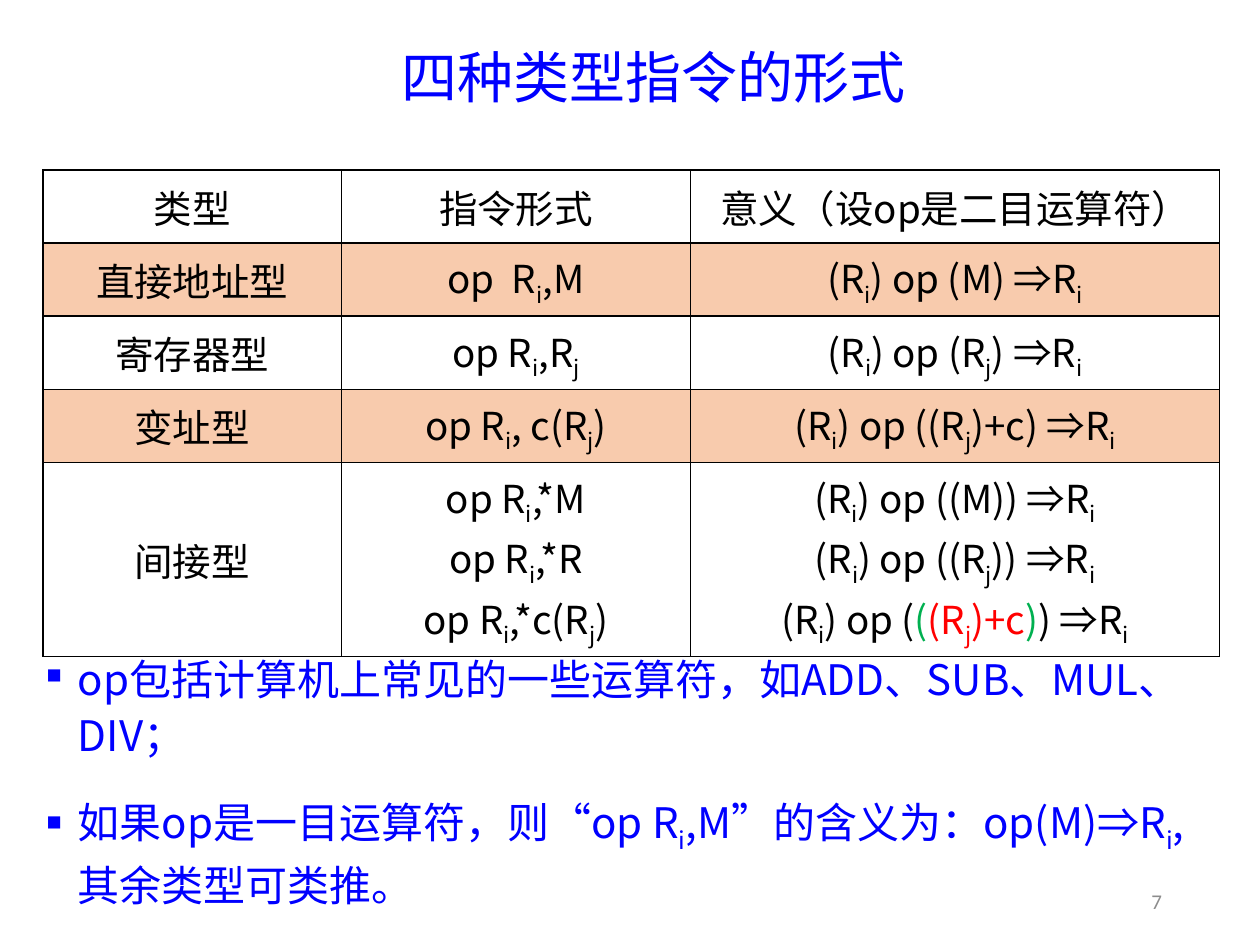
from lxml.etree import SubElement
from pptx import Presentation
from pptx.dml.color import RGBColor
from pptx.enum.text import MSO_ANCHOR, PP_ALIGN
from pptx.oxml.ns import qn
from pptx.util import Inches, Pt

HUES = {"blue": "0000FF", "black": "000000", "red": "FF0000",
        "green": "00B050", "gray": "8C8C8C", "peach": "F8CBAD"}
SANS = "Noto Sans CJK SC"


def write(frame, text, size=22, font=SANS, hue="black", align=PP_ALIGN.CENTER,
          lead=None, after=None, gap=None, mark=None, anchor=MSO_ANCHOR.MIDDLE):
    frame.word_wrap = True
    frame.vertical_anchor = anchor
    for row, line in enumerate(text.split("\n")):
        para = frame.add_paragraph() if row else frame.paragraphs[0]
        para.alignment = align
        para.line_spacing = lead
        para.space_after = after
        if row:
            para.space_before = gap
        if mark:
            props = para._p.get_or_add_pPr()
            props.set("marL", str(Inches(0.25)))
            props.set("indent", str(-Inches(0.25)))
            SubElement(props, qn("a:buSzPct"), val="50000")
            SubElement(props, qn("a:buChar"), char=mark)
        for part in line.split("|"):
            name, colon, rest = part.partition(":")
            run = para.add_run()
            run.text = rest if colon else part
            run.font.size = Pt(size)
            run.font.name = font
            tint = name if colon else hue
            run.font.color.rgb = RGBColor.from_string(HUES[tint])
            props = run._r.get_or_add_rPr()
            SubElement(props, qn("a:ea"), typeface=font)
            if run.text in ("i", "j"):
                props.set("baseline", "-25000")


deck = Presentation()
deck.slide_width = Inches(10)
deck.slide_height = Inches(7.5)
slide = deck.slides.add_slide(deck.slide_layouts[6])

notes = slide.shapes.add_textbox(Inches(0.27), Inches(5.1), Inches(9.47), Inches(1.73))
write(notes.text_frame,
      "op包括计算机上常见的一些运算符，如ADD、SUB、MUL、DIV；\n"
      "如果op是一目运算符，则“op R|i|,M”的含义为：op(M)⇒R|i|,其余类型可类推。",
      size=24, hue="blue", align=PP_ALIGN.LEFT, lead=1.1, after=Pt(12),
      gap=Pt(6), mark="■", anchor=MSO_ANCHOR.TOP)

page = slide.shapes.add_textbox(Inches(8.73), Inches(6.95), Inches(0.59), Inches(0.4))
write(page.text_frame, "7", size=12, font="Calibri", hue="gray", align=PP_ALIGN.RIGHT)

rows = [
    ("类型", "指令形式", "意义（设op是二目运算符）"),
    ("直接地址型", "op  R|i|,M", "(R|i|) op (M) ⇒R|i"),
    ("寄存器型", "op R|i|,R|j", "(R|i|) op (R|j|) ⇒R|i"),
    ("变址型", "op R|i|, c(R|j|)", "(R|i|) op ((R|j|)+c) ⇒R|i"),
    ("间接型", "op R|i|,*M\nop R|i|,*R\nop R|i|,*c(R|j|)",
     "(R|i|) op ((M)) ⇒R|i\n(R|i|) op ((R|j|)) ⇒R|i\n"
     "(R|i|) op (|green:(|red:(R|red:j|red:)+c|green:)|) ⇒R|i"),
]
wide = [2.37, 2.77, 4.2]
high = [0.58] * 4 + [1.54]
frame = slide.shapes.add_table(len(rows), len(wide), Inches(0.34), Inches(1.35),
                               Inches(sum(wide)), Inches(sum(high)))
table = frame.table
for col, width in zip(table.columns, wide):
    col.width = Inches(width)
for top, (texts, tall) in enumerate(zip(rows, high)):
    table.rows[top].height = Inches(tall)
    for left, text in enumerate(texts):
        cell = table.cell(top, left)
        write(cell.text_frame, text)
        cell.vertical_anchor = MSO_ANCHOR.MIDDLE
        props = cell._tc.get_or_add_tcPr()
        for side in ("lnL", "lnR", "lnT", "lnB"):
            edge = SubElement(props, qn("a:" + side), w=str(Pt(1)))
            fill = SubElement(edge, qn("a:solidFill"))
            SubElement(fill, qn("a:srgbClr"), val=HUES["black"])
        if top % 2:
            cell.fill.solid()
            cell.fill.fore_color.rgb = RGBColor.from_string(HUES["peach"])
        else:
            cell.fill.background()

title = slide.shapes.add_textbox(Inches(2.71), Inches(0.22), Inches(4.96), Inches(0.84))
write(title.text_frame, "四种类型指令的形式", size=32, font="Noto Sans CJK JP",
      hue="blue", lead=0.9)

deck.save("out.pptx")
